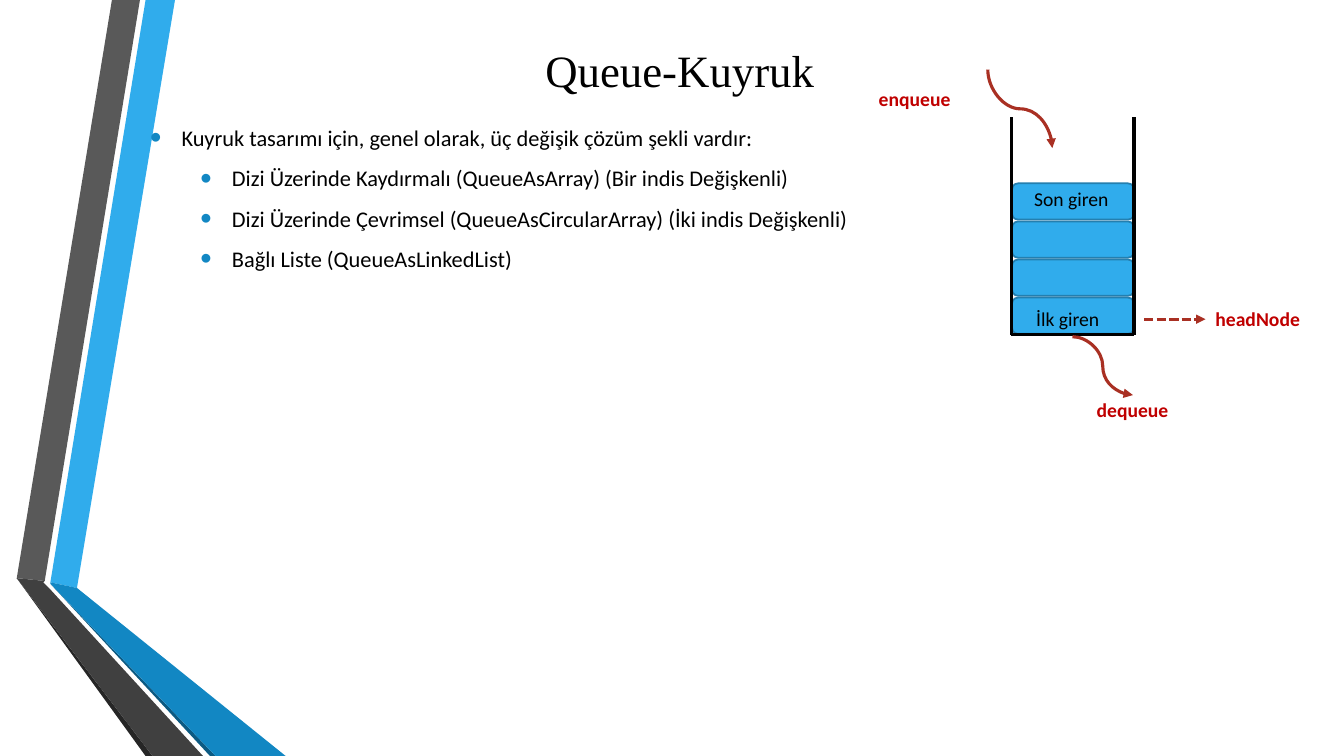
from dataclasses import dataclass

from pptx import Presentation
from pptx.dml.color import RGBColor
from pptx.enum.dml import MSO_LINE
from pptx.enum.shapes import MSO_CONNECTOR, MSO_SHAPE
from pptx.enum.text import MSO_ANCHOR, PP_ALIGN
from pptx.oxml.ns import qn
from pptx.util import Pt
from lxml.etree import SubElement


@dataclass(frozen=True)
class Theme:
    black: str = "000000"
    sky: str = "30ACEC"
    ocean: str = "1287C3"
    navy: str = "0C5A82"
    block_edge: str = "247FAF"
    grey: str = "595959"
    charcoal: str = "404040"
    soot: str = "262626"
    arrow: str = "A93023"
    label: str = "C00000"
    title_font: str = "Times New Roman"
    text_font: str = "Calibri"
    title_size: float = 32
    body_size: float = 16
    label_size: float = 14
    edge_width: float = 1.25
    line_width: float = 2.25


THEME = Theme()

TITLE = "Queue-Kuyruk"
TITLE_BOX = (111.6, 12.2, 748.1, 74.9)
BODY_BOX = (100.1, 75.6, 598.3, 424.8)
# Indent level, text
BODY = [
    (0, "Kuyruk tasarımı için, genel olarak, üç değişik çözüm şekli vardır:"),
    (1, "Dizi Üzerinde Kaydırmalı (QueueAsArray) (Bir indis Değişkenli)"),
    (1, "Dizi Üzerinde Çevrimsel (QueueAsCircularArray) (İki indis Değişkenli)"),
    (1, "Bağlı Liste (QueueAsLinkedList)"),
]
BULLET_HANG, LEVEL_INDENT = 22.5, 36

RIBBONS = [
    (THEME.sky, [(36, 416.2), (55.4, 419.8), (124.6, 0), (104.4, 0)]),
    (THEME.grey, [(100, 0), (79.9, 0), (11.5, 412.6), (31.7, 415.4)]),
    (THEME.soot, [(11.5, 412.6), (104.4, 540), (108.7, 540)]),
    (THEME.navy, [(36, 416.9), (149.8, 540), (154.1, 540)]),
    (THEME.ocean, [(36, 416.2), (36, 416.9), (154.1, 540), (203.8, 540), (55.4, 419.8)]),
    (THEME.charcoal, [(11.5, 412.6), (108.7, 540), (145.4, 540), (34.6, 419.8),
                      (31, 416.2), (31.7, 415.4)]),
]

BLOCK_COUNT, BLOCK_PITCH = 4, 27.2
FIRST_BLOCK = (722.9, 131, 87.1, 25.9)
WALL_LEFT, WALL_RIGHT, WALL_TOP, WALL_BOTTOM = 722.3, 810, 83.5, 239

LABEL_HEIGHT = 24.4
# Text, left, top, width, colour, bold
LABELS = [
    ("İlk giren", 733, 216, 67, THEME.black, False),
    ("Son giren", 731.5, 129.6, 77.8, THEME.black, False),
    ("enqueue", 620.6, 58.3, 72.7, THEME.label, True),
    ("dequeue", 776.2, 280.8, 68.4, THEME.label, True),
    ("headNode", 861.1, 215.8, 83.5, THEME.label, True),
]
ENQUEUE_ARROW = (756.7, 54.7, 700.6, 100.8)  # before its quarter turn
DEQUEUE_ARROW = (766.1, 240.5, 809.3, 282.2)
HEAD_ARROW = (817.2, 228, 861.1, 228)


def points(values):
    return [Pt(value) for value in values]


def style_span(span, font, size, color, bold=False):
    for name, value in {"name": font, "size": Pt(size), "bold": bold}.items():
        setattr(span.font, name, value)
    span.font.color.rgb = RGBColor.from_string(color)


def paint(shape, fill, edge=None):
    shape.shadow.inherit = False
    shape.fill.solid()
    shape.fill.fore_color.rgb = RGBColor.from_string(fill)
    if edge:
        shape.line.color.rgb = RGBColor.from_string(edge)
        shape.line.width = Pt(THEME.edge_width)
    else:
        shape.line.fill.background()


def add_ribbon(page, color, outline):
    builder = page.shapes.build_freeform(*outline[0], scale=Pt(1))
    builder.add_line_segments(outline[1:], close=True)
    paint(builder.convert_to_shape(), color)


def add_line(page, ends, color, kind=MSO_CONNECTOR.STRAIGHT, arrow=False, dash=None):
    connector = page.shapes.add_connector(kind, *points(ends))
    connector.line.color.rgb = RGBColor.from_string(color)
    connector.line.width = Pt(THEME.line_width)
    if dash:
        connector.line.dash_style = dash
    properties = connector._element.spPr
    if arrow:
        SubElement(properties.find(qn("a:ln")), qn("a:tailEnd"), type="triangle")
    SubElement(properties, qn("a:effectLst"))
    return connector


def add_bullet(para, level):
    properties = para._p.get_or_add_pPr()
    properties.set("marL", str(Pt(BULLET_HANG + level * LEVEL_INDENT)))
    properties.set("indent", str(-Pt(BULLET_HANG)))
    color = SubElement(properties, qn("a:buClr"))
    SubElement(color, qn("a:srgbClr"), val=THEME.ocean)
    SubElement(properties, qn("a:buSzPct"), val="145000")
    SubElement(properties, qn("a:buFont"), typeface="Arial")
    SubElement(properties, qn("a:buChar"), char="•")


def add_title(page):
    title = page.shapes.title
    for name, value in zip(("left", "top", "width", "height"), points(TITLE_BOX)):
        setattr(title, name, value)
    title.text_frame.vertical_anchor = MSO_ANCHOR.MIDDLE
    para = title.text_frame.paragraphs[0]
    para.alignment = PP_ALIGN.CENTER
    span = para.add_run()
    span.text = TITLE
    style_span(span, THEME.title_font, THEME.title_size, THEME.black)


def add_body(page):
    frame = page.shapes.add_textbox(*points(BODY_BOX)).text_frame
    frame.word_wrap = True
    for index, (level, text) in enumerate(BODY):
        para = frame.add_paragraph() if index else frame.paragraphs[0]
        for name, value in {"level": level, "alignment": PP_ALIGN.JUSTIFY,
                            "line_spacing": 1.5}.items():
            setattr(para, name, value)
        add_bullet(para, level)
        span = para.add_run()
        span.text = text
        style_span(span, THEME.text_font, THEME.body_size, THEME.black)


def add_label(page, text, left, top, width, color, bold):
    box = page.shapes.add_textbox(*points((left, top, width, LABEL_HEIGHT)))
    box.text_frame.word_wrap = True
    span = box.text_frame.paragraphs[0].add_run()
    span.text = text
    style_span(span, THEME.text_font, THEME.label_size, color, bold)
    return box


def add_queue(page):
    left, top, width, height = FIRST_BLOCK
    for index in range(BLOCK_COUNT):
        area = (left, top + index * BLOCK_PITCH, width, height)
        block = page.shapes.add_shape(MSO_SHAPE.ROUNDED_RECTANGLE, *points(area))
        paint(block, THEME.sky, THEME.block_edge)
    for ends in [
        (WALL_LEFT, WALL_BOTTOM, WALL_RIGHT, WALL_BOTTOM),
        (WALL_RIGHT, WALL_BOTTOM, WALL_RIGHT, WALL_TOP),
        (WALL_LEFT, WALL_BOTTOM, WALL_LEFT, WALL_TOP),
    ]:
        add_line(page, ends, THEME.black)
    labels = {label[0]: add_label(page, *label) for label in LABELS}

    enqueue = add_line(page, ENQUEUE_ARROW, THEME.arrow, MSO_CONNECTOR.CURVE, arrow=True)
    enqueue._element.spPr.find(qn("a:xfrm")).set("rot", str(270 * 60000))
    add_line(page, DEQUEUE_ARROW, THEME.arrow, MSO_CONNECTOR.CURVE, arrow=True)
    head = add_line(page, HEAD_ARROW, THEME.arrow, arrow=True, dash=MSO_LINE.SQUARE_DOT)
    head.end_connect(labels["headNode"], 1)


def main():
    deck = Presentation()
    deck.slide_width, deck.slide_height = Pt(960), Pt(540)
    page = deck.slides.add_slide(deck.slide_layouts[5])
    for color, outline in RIBBONS:
        add_ribbon(page, color, outline)
    add_title(page)
    add_body(page)
    add_queue(page)
    deck.save("out.pptx")


if __name__ == "__main__":
    main()
